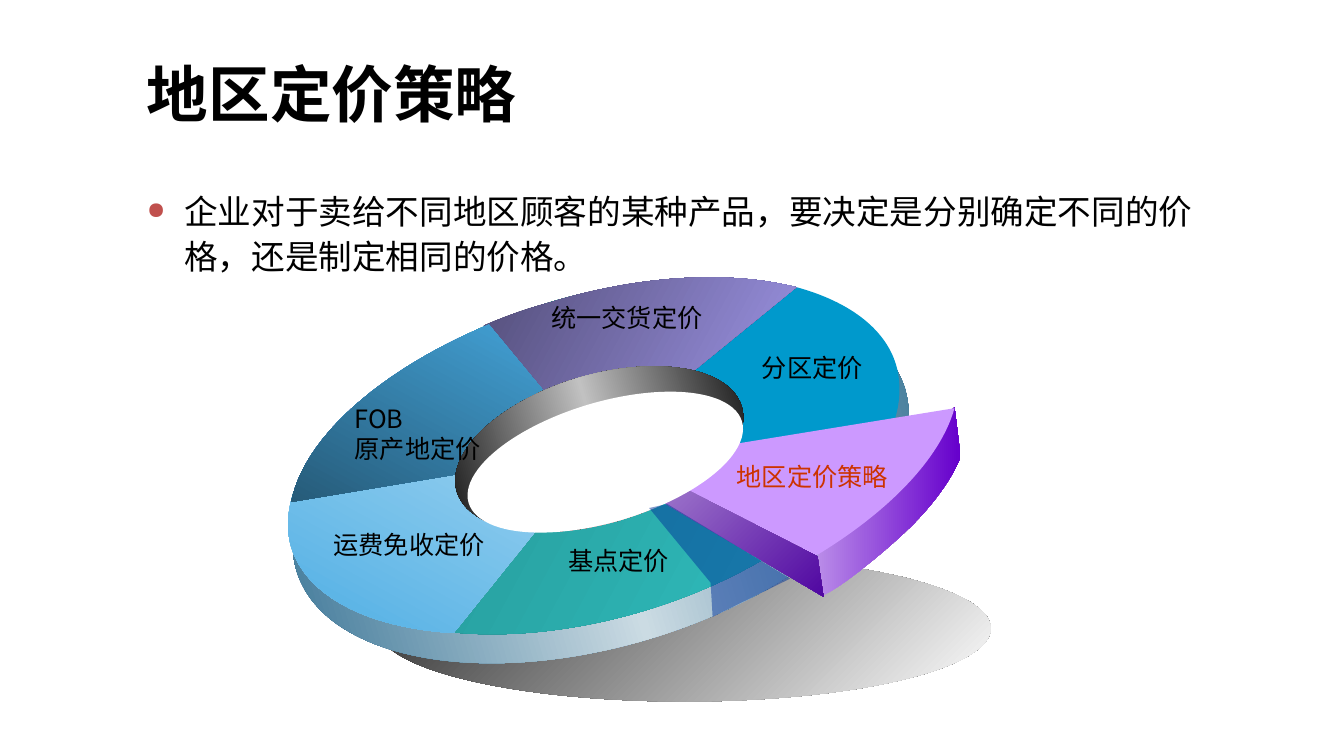
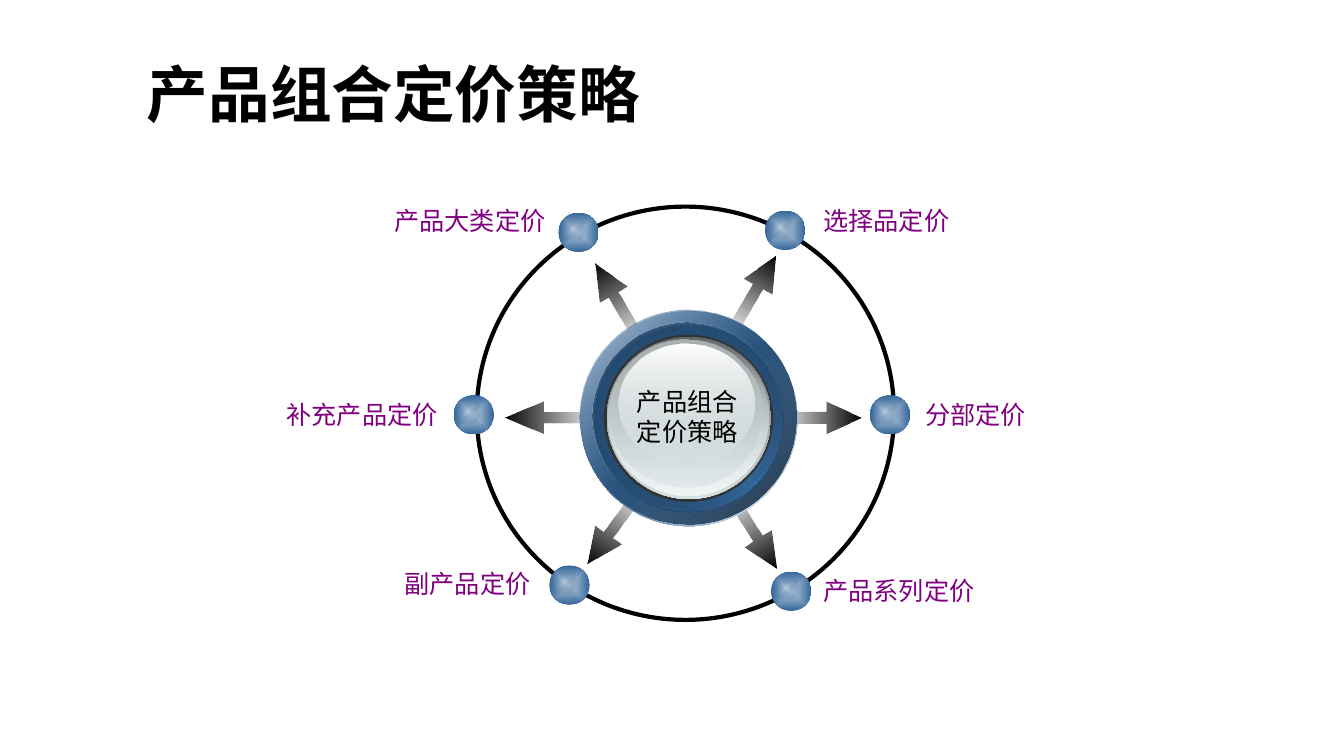
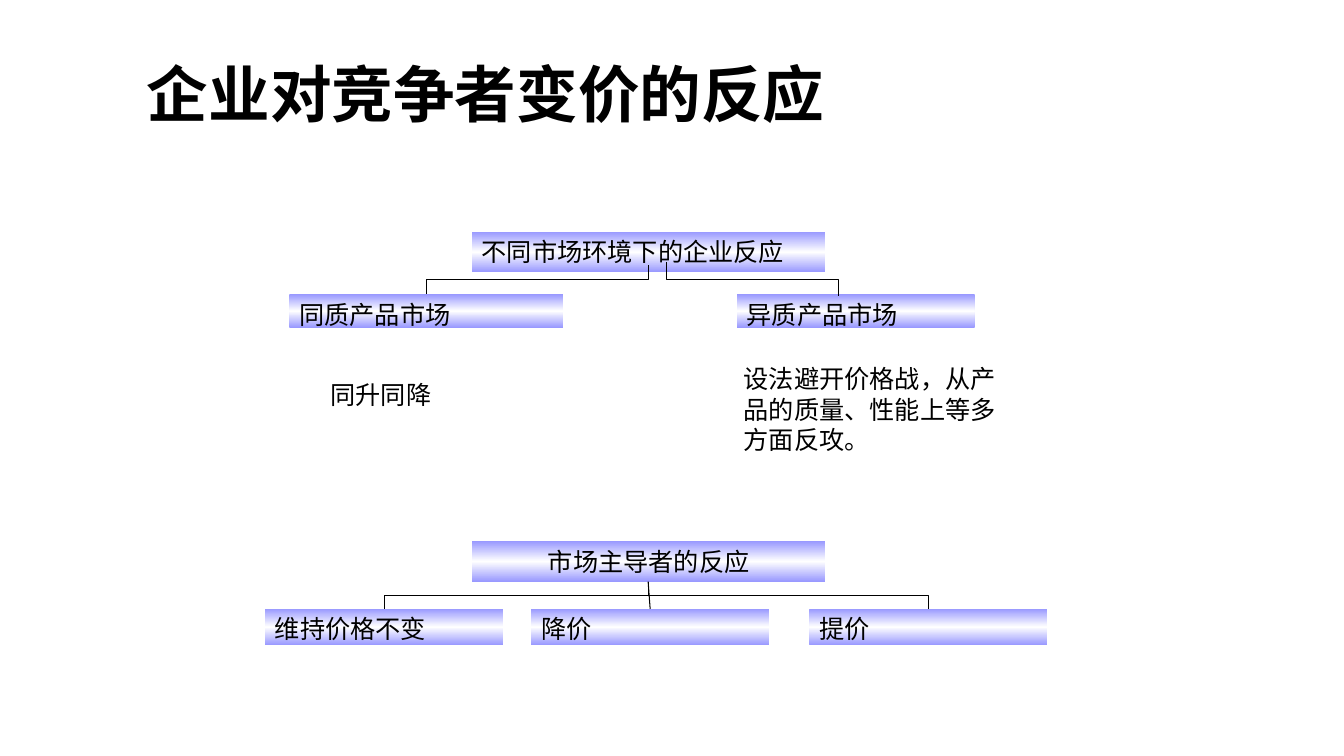
from math import cos, radians, sin

from pptx import Presentation
from pptx.dml.color import RGBColor
from pptx.enum.shapes import MSO_CONNECTOR, MSO_SHAPE
from pptx.enum.text import MSO_ANCHOR, PP_ALIGN
from pptx.oxml import parse_xml
from pptx.oxml.ns import nsdecls, qn
from pptx.util import Inches, Pt

ELLIPSE, ARROW, RECT = MSO_SHAPE.OVAL, MSO_SHAPE.RIGHT_ARROW, MSO_SHAPE.RECTANGLE
ELBOW, STRAIGHT = MSO_CONNECTOR.ELBOW, MSO_CONNECTOR.STRAIGHT
TOP, MIDDLE = MSO_ANCHOR.TOP, MSO_ANCHOR.MIDDLE
LEFT, CENTER, RIGHT = PP_ALIGN.LEFT, PP_ALIGN.CENTER, PP_ALIGN.RIGHT
CJK, SANS, BODY = "Noto Sans CJK SC", "Arial", "Calibri"


def rgb(code):
    return RGBColor.from_string(code)


BLACK, WHITE = RGBColor(0, 0, 0), RGBColor(255, 255, 255)
BULLET, ACCENT, PURPLE = rgb("C0504D"), rgb("CC3300"), rgb("800080")
CHARCOAL, DARK, SILVER = rgb("292929"), rgb("333333"), rgb("C1C1C1")
RIM, RIM_LIGHT = rgb("29698D"), rgb("CBDBE3")
TEAL_DARK, TEAL = rgb("208282"), rgb("33CCCC")
CYAN, SKY_LIGHT, SKY, SKY_DARK = rgb("0099CC"), rgb("ABD9F2"), rgb("47ABE3"), rgb("214F69")
PLUM, LAVENDER = rgb("4F4A73"), rgb("AAA0F8")
LILAC, LILAC_SIDE, VIOLET = rgb("CC99FF"), rgb("B98BE8"), rgb("6600CC")
MAUVE, INDIGO, NAVY = rgb("AF8ED4"), rgb("5007A1"), rgb("003399")
STEEL, STEEL_LIGHT, STEEL_DARK = rgb("336699"), rgb("BACBDD"), rgb("182F47")
BEVEL, BEVEL_EDGE = rgb("1C3753"), rgb("204161")
GLASS, GLASS_DARK, GLASS_GREY, GLASS_LIGHT = rgb("D6E1E2"), rgb("636869"), rgb("AAB2B3"), rgb("F1F5F5")
PERIWINKLE = rgb("9999FF")

TILT = 343.4


def paint(angle, *stops):
    return angle, stops


RING_BASE = [
    ((3.75, 5.51, 6.08, 1.45), 0, paint(45, CHARCOAL, WHITE)),
    ((2.81, 3.11, 6.3, 3.3), TILT, paint(0, RIM, RIM_LIGHT, RIM)),
    ((2.88, 2.93, 6.08, 3.2), TILT, paint(45, TEAL_DARK, TEAL)),
]
RING_SLICES = [
    ((5.77, 3.02, 3.12, 1.68), TILT,
     [(7.83, 2.83), (8.4, 2.97, 8.78, 3.25, 8.89, 3.62),
      (8.95, 3.83, 8.93, 4.06, 8.83, 4.29), (5.9, 4.52)], paint(0, CYAN)),
    ((2.94, 4.45, 3.15, 1.78), TILT,
     [(2.91, 4.89), (2.85, 5.08, 2.84, 5.26, 2.89, 5.43),
      (3.04, 5.91, 3.64, 6.23, 4.5, 6.28), (5.91, 4.53)], paint(135, SKY_LIGHT, SKY)),
    ((4.95, 2.72, 3.08, 1.55), TILT,
     [(4.8, 3.23), (5.01, 3.14, 5.23, 3.06, 5.46, 3),
      (6.34, 2.73, 7.23, 2.68, 7.9, 2.85), (5.9, 4.48)], paint(45, PLUM, LAVENDER)),
    ((2.72, 3.44, 3.02, 1.51), TILT,
     [(4.85, 3.22), (3.77, 3.67, 3.01, 4.35, 2.89, 4.98), (5.89, 4.48)],
     paint(135, SKY, SKY_DARK)),
]
HOLE_WALL = ((4.47, 3.72, 2.95, 1.47), TILT, paint(0, BLACK, SILVER, BLACK))
PULLED_SLICE = [
    ((8.11, 4.04, 1.42, 1.87), 0,
     [(8.11, 5.5), (9.47, 4.04), (9.53, 4.53), (9.46, 4.72, 9.28, 4.98, 9.05, 5.21),
      (8.82, 5.44, 8.31, 5.86, 8.15, 5.91), (8.12, 5.79, 8.11, 5.5, 8.11, 5.5)],
     paint(0, LILAC_SIDE, VIOLET)),
    ((6.36, 4.05, 3.26, 1.47), 342.3,
     [(9.47, 4.05), (9.33, 4.55, 8.81, 5.09, 8.05, 5.54), (6.21, 4.58)], paint(0, LILAC)),
    ((6.25, 4.57, 1.92, 1.35), 0,
     [(8.11, 5.52), (8.17, 5.92), (6.37, 4.86), (6.25, 4.57)], paint(45, MAUVE, INDIGO)),
]
RING_LABELS = [
    ("FOB\n原产地定价", (3.42, 3.95, 1.46, 0.7), BLACK),
    ("统一交货定价", (5.37, 2.95, 1.71, 0.4), BLACK),
    ("分区定价", (7.46, 3.45, 1.21, 0.4), BLACK),
    ("地区定价策略", (7.21, 4.53, 1.71, 0.4), ACCENT),
    ("基点定价", (5.54, 5.36, 1.21, 0.4), BLACK),
    ("运费免收定价", (3.21, 5.2, 1.71, 0.4), BLACK),
]
HOLE = ((4.59, 3.99, 2.83, 1.19), TILT, paint(0, WHITE))
GAP_SHADE = ((6.44, 5, 1.4, 1.12), 0,
             [(6.44, 5.04), (7.05, 5.78), (7.07, 6.12), (7.84, 5.74), (6.62, 5)],
             paint(0, (NAVY, 49)))

ARROWS = [
    (7.04, 2.75, 0.87, 299.6),
    (7.04, 5.11, 0.87, 57.8),
    (5.69, 2.83, 0.87, 239.5),
    (5.65, 5.08, 0.87, 125.6),
    (7.67, 3.98, 0.88, 0),
    (5.01, 3.98, 0.95, 180),
]
ORBIT = (4.73, 2.05, 4.14, 4.1)
ORBIT_NODES = [(5.54, 2.11), (4.5, 3.92), (5.45, 5.61), (7.59, 2.09), (8.63, 3.92), (7.65, 5.67)]
HUB = [
    ((5.76, 3.09, 2.15, 2.13), paint(45, WHITE, STEEL, WHITE)),
    ((5.75, 3.07, 2.15, 2.13), paint(45, (STEEL, 32), STEEL_DARK)),
    ((5.9, 3.23, 1.87, 1.85), paint(315, BEVEL, STEEL, BEVEL)),
    ((5.88, 3.2, 1.87, 1.85), paint(45, BEVEL_EDGE, (STEEL, 0))),
    ((5.99, 3.32, 1.68, 1.66), paint(0, DARK)),
    ((6.02, 3.34, 1.63, 1.61), paint(90, GLASS_DARK, GLASS)),
    ((6.03, 3.35, 1.59, 1.57), paint(90, (GLASS, 0), GLASS_LIGHT)),
    ((6.05, 3.37, 1.51, 1.47), paint(90, GLASS_GREY, (GLASS, 48))),
    ((6.14, 3.41, 1.34, 1.19), paint(90, WHITE, (GLASS, 38))),
]
ORBIT_LABELS = [
    ("选择品定价", (8.07, 1.99, 1.59, 0.4), LEFT),
    ("产品大类定价", (3.78, 1.99, 1.73, 0.4), RIGHT),
    ("分部定价", (9.08, 3.91, 1.33, 0.4), LEFT),
    ("产品系列定价", (8.07, 5.66, 1.84, 0.4), LEFT),
    ("补充产品定价", (2.6, 3.91, 1.84, 0.4), RIGHT),
    ("副产品定价", (3.77, 5.59, 1.59, 0.4), RIGHT),
]

BARS = [
    ("不同市场环境下的企业反应", (4.68, 2.3, 3.51, 0.4), LEFT),
    ("同质产品市场", (2.87, 2.92, 2.72, 0.33), LEFT),
    ("异质产品市场", (7.31, 2.92, 2.36, 0.33), LEFT),
    ("市场主导者的反应", (4.68, 5.37, 3.51, 0.4), CENTER),
    ("维持价格不变", (2.63, 6.04, 2.36, 0.36), LEFT),
    ("降价", (5.27, 6.04, 2.36, 0.36), LEFT),
    ("提价", (8.03, 6.04, 2.36, 0.36), LEFT),
]
REACTIONS = [
    ("同升同降", (3.18, 3.71, 2.36, 0.43)),
    ("设法避开价格战，从产品的质量、性能上等多方面反攻。", (7.28, 3.56, 2.91, 1.1)),
]
BRANCHES = [
    (6.43, 2.63, 4.23, 2.92),
    (6.61, 2.6, 8.32, 2.94),
    (6.43, 5.77, 3.81, 6.04),
    (6.43, 5.77, 9.21, 6.04),
]
TRUNK = (6.43, 5.77, 6.45, 6.04)


def inches(values):
    return [Inches(v) for v in values]


def write(sp, text, size=18, font=CJK, color=BLACK, bold=False, align=LEFT,
          anchor=TOP, wrap=True, bullet=False):
    tf = sp.text_frame
    tf.word_wrap = wrap
    tf.vertical_anchor = anchor
    for i, line in enumerate(text.split("\n")):
        p = tf.add_paragraph() if i else tf.paragraphs[0]
        if bullet:
            pPr = p._p.get_or_add_pPr()
            pPr.set("marL", str(Inches(0.37)))
            pPr.set("indent", str(-Inches(0.37)))
            for xml in (f'<a:buClr {nsdecls("a")}><a:srgbClr val="{BULLET}"/></a:buClr>',
                        f'<a:buSzPct {nsdecls("a")} val="70000"/>',
                        f'<a:buChar {nsdecls("a")} char="●"/>'):
                pPr.append(parse_xml(xml))
            p.line_spacing = 1.1
        p.alignment = align
        r = p.add_run()
        r.text = line
        r.font.size = Pt(size)
        r.font.bold = bold
        r.font.color.rgb = color
        r.font.name = font
        r.font._element.find(qn("a:latin")).addnext(
            parse_xml(f'<a:ea {nsdecls("a")} typeface="{CJK}"/>'))


def add_text(s, text, box, **style):
    write(s.shapes.add_textbox(*inches(box)), text, **style)


def color_xml(stop):
    color, alpha = (stop, 100) if isinstance(stop, RGBColor) else stop
    return f'<a:srgbClr val="{color}"><a:alpha val="{alpha * 1000}"/></a:srgbClr>'


def finish(sp, fill):
    angle, stops = fill
    sp.shadow.inherit = False
    sp.line.fill.background()
    sp.fill.solid()
    if len(stops) == 1:
        xml = f'<a:solidFill {nsdecls("a")}>{color_xml(stops[0])}</a:solidFill>'
    else:
        step = 100000 // (len(stops) - 1)
        marks = "".join(f'<a:gs pos="{i * step}">{color_xml(stop)}</a:gs>'
                        for i, stop in enumerate(stops))
        if angle is None:
            shade = ('<a:path path="shape"><a:fillToRect l="50000" t="50000" '
                     'r="50000" b="50000"/></a:path>')
        else:
            shade = f'<a:lin ang="{angle * 60000}" scaled="0"/>'
        xml = (f'<a:gradFill {nsdecls("a")} rotWithShape="1">'
               f'<a:gsLst>{marks}</a:gsLst>{shade}</a:gradFill>')
    spPr = sp._element.spPr
    spPr.replace(spPr.find(qn("a:solidFill")), parse_xml(xml))
    return sp


def add_shape(s, kind, box, fill, rotation=0):
    sp = s.shapes.add_shape(kind, *inches(box))
    sp.rotation = rotation
    return finish(sp, fill)


def add_outline(s, box, rotation, outline, fill):
    left, top, width, height = box
    cx, cy = left + width / 2, top + height / 2
    c, d = cos(radians(rotation)), sin(radians(rotation))

    def unturned(x, y):
        dx, dy = x - cx, y - cy
        return inches((c * dx + d * dy + width / 2, c * dy - d * dx + height / 2))

    parts = [[unturned(*part[i:i + 2]) for i in range(0, len(part), 2)] for part in outline]
    builder = s.shapes.build_freeform(*parts[0][0], scale=1.0)
    builder.add_line_segments([part[-1] for part in parts[1:]], close=True)
    sp = builder.convert_to_shape()
    sp.left, sp.top, sp.width, sp.height = inches(box)
    sp.rotation = rotation

    steps = ""
    for i, part in enumerate(parts):
        tag = "moveTo" if i == 0 else "lnTo" if len(part) == 1 else "cubicBezTo"
        points = "".join(f'<a:pt x="{x}" y="{y}"/>' for x, y in part)
        steps += f"<a:{tag}>{points}</a:{tag}>"
    drawn = next(sp._element.spPr.iter(qn("a:path")))
    drawn.getparent().replace(drawn, parse_xml(
        f'<a:path {nsdecls("a")} w="{sp.width}" h="{sp.height}">{steps}<a:close/></a:path>'))
    return finish(sp, fill)


def add_line(s, kind, ends):
    cxn = s.shapes.add_connector(kind, *inches(ends))
    cxn.line.color.rgb = BLACK
    cxn.line.width = Pt(0.75)
    cxn._element.spPr.append(parse_xml(f'<a:effectLst {nsdecls("a")}/>'))
    return cxn


def add_branch(s, x1, y1, x2, y2):
    cx, cy = (x1 + x2) / 2, (y1 + y2) / 2
    half_w, half_h = (y2 - y1) / 2, abs(x2 - x1) / 2
    cxn = add_line(s, ELBOW, (cx - half_w, cy - half_h, cx + half_w, cy + half_h))
    xfrm = cxn._element.spPr.find(qn("a:xfrm"))
    xfrm.set("rot", str((90 if x2 < x1 else 270) * 60000))
    if x2 > x1:
        xfrm.set("flipH", "1")


def add_slide(prs, title):
    s = prs.slides.add_slide(prs.slide_layouts[6])
    add_text(s, title, (1.36, 0.3, 11.31, 1.25), size=44, bold=True, anchor=MIDDLE)
    return s


def regional_pricing(prs):
    s = add_slide(prs, "地区定价策略")
    add_text(s, "企业对于卖给不同地区顾客的某种产品，要决定是分别确定不同的价格，还是制定相同的价格。",
             (1.36, 1.81, 10.73, 2.04), size=24, font=BODY, bullet=True)
    for box, rotation, fill in RING_BASE:
        add_shape(s, ELLIPSE, box, fill, rotation)
    for ring_slice in RING_SLICES:
        add_outline(s, *ring_slice)
    box, rotation, fill = HOLE_WALL
    add_shape(s, ELLIPSE, box, fill, rotation)
    for face in PULLED_SLICE:
        add_outline(s, *face)
    for text, box, color in RING_LABELS:
        add_text(s, text, box, color=color, wrap=False)
    box, rotation, fill = HOLE
    add_shape(s, ELLIPSE, box, fill, rotation)
    add_outline(s, *GAP_SHADE)


def product_mix_pricing(prs):
    s = add_slide(prs, "产品组合定价策略")
    for x, y, width, rotation in ARROWS:
        sp = add_shape(s, ARROW, (x, y, width, 0.32), paint(0, (BLACK, 0), BLACK), rotation)
        sp.adjustments[0] = 0.35
        sp.adjustments[1] = 1.21 if width > 0.9 else 1.11
    orbit = add_shape(s, ELLIPSE, ORBIT, paint(0, WHITE))
    orbit.fill.background()
    orbit.line.color.rgb = BLACK
    orbit.line.width = Pt(3)
    for x, y in ORBIT_NODES:
        add_shape(s, ELLIPSE, (x, y, 0.4, 0.39), paint(None, STEEL_LIGHT, STEEL))
        add_shape(s, ELLIPSE, (x + 0.02, y + 0.04, 0.25, 0.25),
                  paint(None, STEEL_LIGHT, (STEEL, 0)))
    for box, fill in HUB:
        add_shape(s, ELLIPSE, box, fill)
    add_text(s, "产品组合\n定价策略", (6.22, 3.78, 1.2, 1), wrap=False)
    for text, box, align in ORBIT_LABELS:
        add_text(s, text, box, color=PURPLE, align=align)


def competitor_reaction(prs):
    s = add_slide(prs, "企业对竞争者变价的反应")
    for text, box, align in BARS:
        sp = add_shape(s, RECT, box, paint(90, PERIWINKLE, WHITE, PERIWINKLE))
        write(sp, text, font=SANS, align=align)
    for text, box in REACTIONS:
        add_text(s, text, box, font=SANS)
    for ends in BRANCHES:
        add_branch(s, *ends)
    add_line(s, STRAIGHT, TRUNK)


def main():
    prs = Presentation()
    prs.slide_width, prs.slide_height = Inches(40) // 3, Inches(7.5)
    regional_pricing(prs)
    product_mix_pricing(prs)
    competitor_reaction(prs)
    prs.save("out.pptx")


if __name__ == "__main__":
    main()
